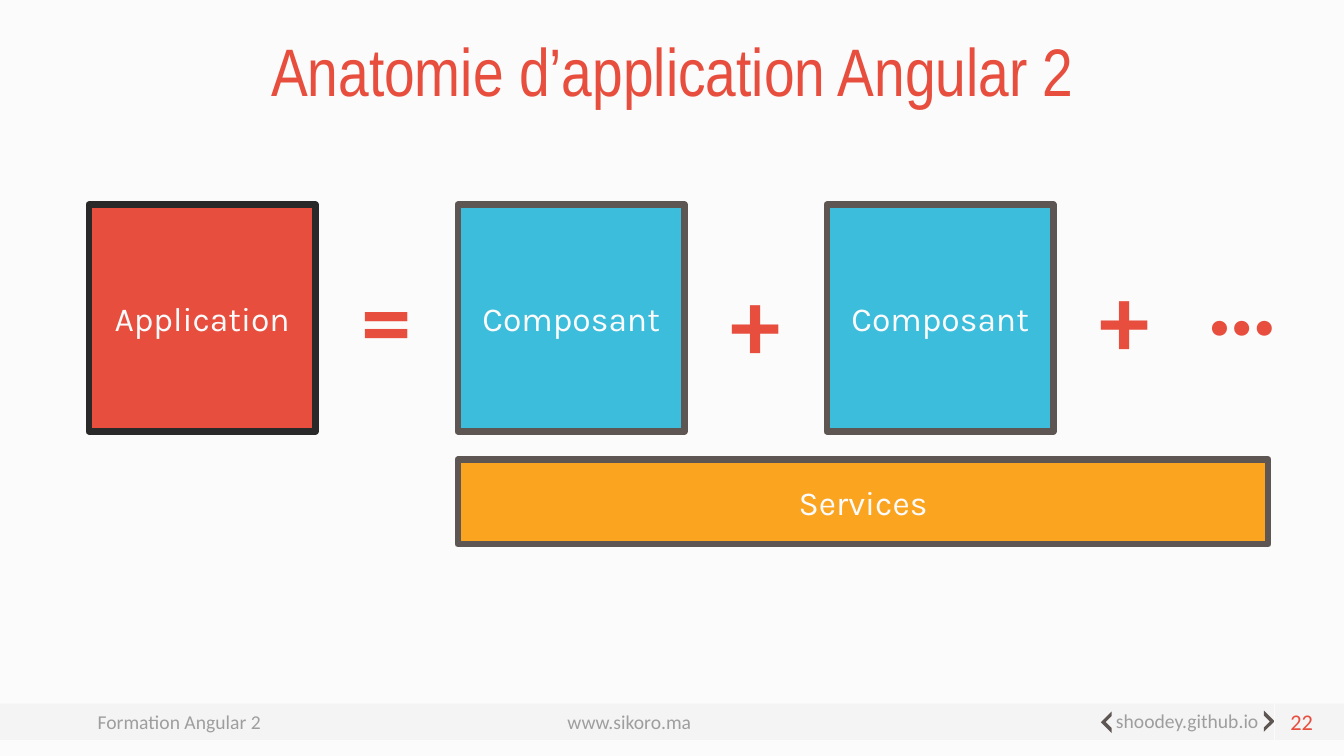
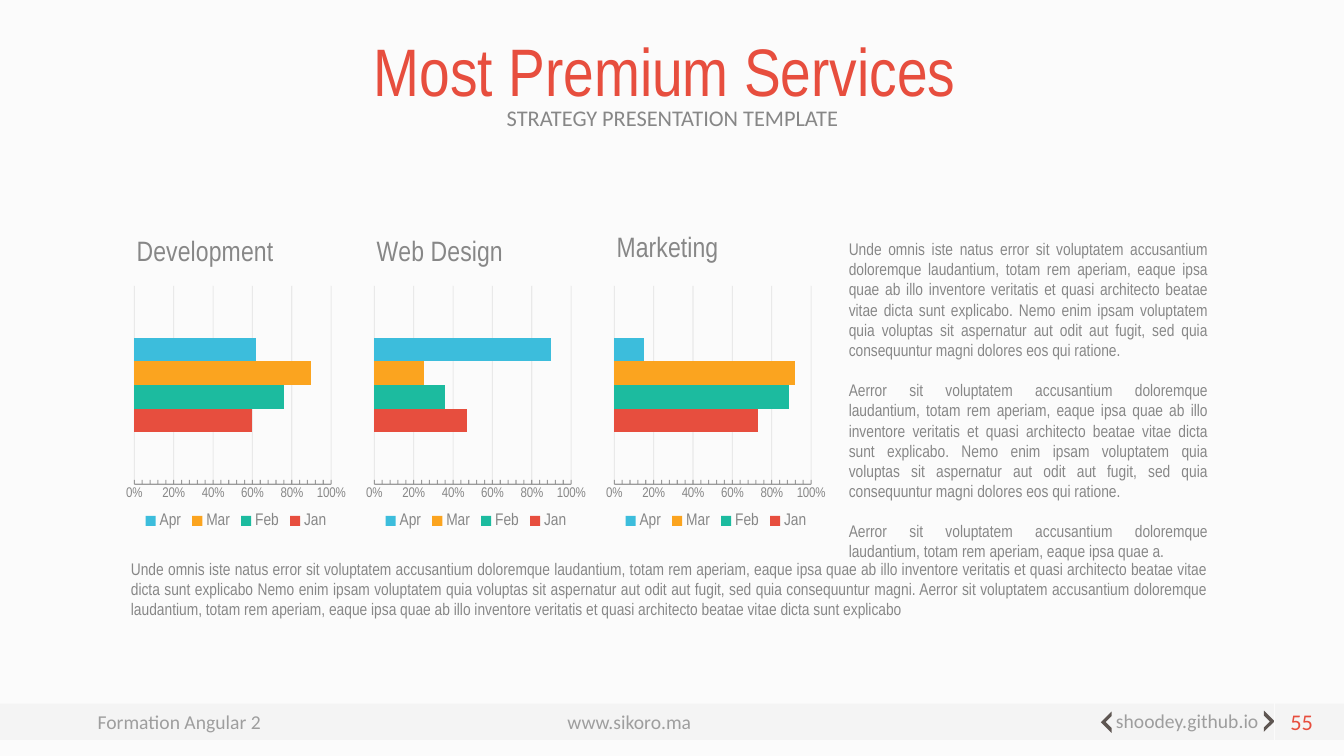
"""Build two slides on application anatomy and services, with a shared title and footer."""
import lxml.etree
import pptx
import pptx.chart.data
import pptx.dml.color
import pptx.enum.chart
import pptx.enum.shapes
import pptx.enum.text
import pptx.oxml.ns
import pptx.util

PX = 9144
qn = pptx.oxml.ns.qn
SHAPE = pptx.enum.shapes.MSO_SHAPE
ALIGN = pptx.enum.text.PP_ALIGN
ANCHOR = pptx.enum.text.MSO_ANCHOR
TICK = pptx.enum.chart.XL_TICK_MARK


def rgb(code):
    return pptx.dml.color.RGBColor.from_string(code)


class Theme:
    paper, red, blue, orange, green = map(rgb, ("FBFBFB", "E74E3E", "3CBDDC", "FBA41F", "1CBB9F"))
    grey, brown, black = map(rgb, ("878787", "5E5652", "292929"))
    narrow, plain, label = "Arial Narrow", "Calibri", "Karla"
    title, symbol, box, heading = 48, 72, 24, 20
    subtitle, footer, body, axis = 16, 14, 12, 10


def write(tf, texts, font, size, color, align=None, bold=False, wrap=True, gap=0, spacing=None):
    tf.word_wrap = wrap
    for i, text in enumerate(texts):
        p = tf.add_paragraph() if i else tf.paragraphs[0]
        p.text = text
        p.alignment = align
        p.line_spacing = spacing
        if i:
            p.space_before = pptx.util.Pt(gap)
        for r in p.runs:
            r.font.name = font
            r.font.size = pptx.util.Pt(size)
            r.font.bold = bold
            r.font.color.rgb = color


def fade(element, percent):
    for color in element.iter(qn("a:srgbClr")):
        lxml.etree.SubElement(color, qn("a:alpha")).set("val", str(percent * 1000))


prs = pptx.Presentation()
prs.slide_width, prs.slide_height = 1333 * PX, 750 * PX

slides = []
for title, number in (("Anatomie d’application Angular 2", "22"), ("Most Premium Services ", "55")):
    s = prs.slides.add_slide(prs.slide_layouts[6])
    slides.append(s)
    s.background.fill.solid()
    s.background.fill.fore_color.rgb = Theme.paper

    band = s.shapes.add_shape(SHAPE.RECTANGLE, 0, 698 * PX, 1333 * PX, 36 * PX)
    arrows = []
    for x, y, angle in ((1095, 709, 315), (1246, 708, 135)):
        sp = s.shapes.add_shape(SHAPE.HALF_FRAME, x * PX, y * PX, 15 * PX, 15 * PX)
        sp.rotation = angle
        sp.adjustments[0], sp.adjustments[1] = 0.21, 0.23
        arrows.append(sp)
    for sp in (band, *arrows):
        sp.shadow.inherit = False
        sp.fill.solid()
        sp.fill.fore_color.rgb = Theme.brown
        sp.line.fill.background()
    fade(band._element, 4)

    divider = s.shapes.add_connector(
        pptx.enum.shapes.MSO_CONNECTOR.STRAIGHT, 1264 * PX, 695 * PX, 1264 * PX, 734 * PX)
    divider.line.color.rgb = Theme.paper
    divider.line.width = pptx.util.Pt(1)
    lxml.etree.SubElement(divider._element.spPr, qn("a:effectLst"))

    for text, x, y, w in (
        ("Formation Angular 2", 87, 699, 183),
        ("www.sikoro.ma", 553, 699, 144),
        ("shoodey.github.io", 1097, 698, 164),
    ):
        sp = s.shapes.add_textbox(x * PX, y * PX, w * PX, 34 * PX)
        write(sp.text_frame, [text], Theme.plain, Theme.footer, Theme.grey, wrap=False)
        fade(sp._element, 79)

    sp = s.shapes.add_textbox(167 * PX, 16 * PX, 1000 * PX, 99 * PX)
    sp.text_frame.vertical_anchor = ANCHOR.BOTTOM
    write(sp.text_frame, [title], Theme.narrow, Theme.title, Theme.red, ALIGN.CENTER, spacing=0.9)
    sp = s.shapes.add_textbox(1258 * PX, 698 * PX, 54 * PX, 36 * PX)
    write(sp.text_frame, [number], Theme.plain, Theme.subtitle, Theme.red, ALIGN.RIGHT)

anatomy, services = slides

for text, x, y, w, h, fill, border in (
    ("Application", 88, 203, 225, 225, Theme.red, Theme.black),
    ("Composant", 454, 203, 225, 225, Theme.blue, Theme.brown),
    ("Composant", 820, 203, 225, 225, Theme.blue, Theme.brown),
    ("Services", 454, 456, 804, 84, Theme.orange, Theme.brown),
):
    sp = anatomy.shapes.add_shape(SHAPE.RECTANGLE, x * PX, y * PX, w * PX, h * PX)
    sp.shadow.inherit = False
    sp.fill.solid()
    sp.fill.fore_color.rgb = fill
    sp.line.color.rgb = border
    sp.line.width = pptx.util.Pt(4.5)
    sp.text_frame.vertical_anchor = ANCHOR.MIDDLE
    write(sp.text_frame, [text], Theme.label, Theme.box, Theme.paper, ALIGN.CENTER)

for text, x, y, w in (("=", 349, 250, 71), ("+", 715, 254, 71), ("+", 1081, 250, 71), ("…", 1187, 228, 92)):
    sp = anatomy.shapes.add_textbox(x * PX, y * PX, w * PX, 131 * PX)
    write(sp.text_frame, [text], Theme.plain, Theme.symbol, Theme.red, bold=True, wrap=False)

sp = services.shapes.add_textbox(167 * PX, 101 * PX, 1000 * PX, 49 * PX)
write(sp.text_frame, ["STRATEGY PRESENTATION TEMPLATE"], Theme.plain, Theme.subtitle, Theme.grey,
      ALIGN.CENTER, spacing=0.9)

months = (("Jan", Theme.red), ("Feb", Theme.green), ("Mar", Theme.orange), ("Apr", Theme.blue))
for i, (name, values, title_y) in enumerate((
    ("Development", (0.6, 0.76, 0.9, 0.62), 0.14),
    ("Web Design", (0.47, 0.36, 0.25, 0.9), 0.14),
    ("Marketing", (0.73, 0.89, 0.92, 0.15), 0.13),
)):
    data = pptx.chart.data.CategoryChartData(number_format="0%")
    data.categories = ["1"]
    for (month, color), value in zip(months, values):
        data.add_series(month, [value])
    chart = services.shapes.add_chart(
        pptx.enum.chart.XL_CHART_TYPE.BAR_CLUSTERED,
        (71 + 238 * i) * PX, 173 * PX, 283 * PX, 410 * PX, data).chart
    chart.font.name = Theme.plain
    chart.font.size = pptx.util.Pt(Theme.axis)
    chart.font.color.rgb = Theme.red

    chart.has_title = True
    write(chart.chart_title.text_frame, [name], Theme.narrow, Theme.heading, Theme.grey)
    chart.has_legend = True
    legend = chart.legend
    legend.position = pptx.enum.chart.XL_LEGEND_POSITION.TOP
    legend.include_in_layout = False

    plot = chart.plots[0]
    plot.gap_width = 439
    plot.overlap = 0
    plot.vary_by_categories = False
    for series, (month, color) in zip(plot.series, months):
        series.format.fill.solid()
        series.format.fill.fore_color.rgb = color

    chart.category_axis.visible = False
    axis = chart.value_axis
    axis.minimum_scale, axis.maximum_scale = 0, 1
    axis.major_unit, axis.minor_unit = 0.2, 0.04
    axis.major_tick_mark, axis.minor_tick_mark = TICK.NONE, TICK.INSIDE
    axis.tick_labels.number_format = "0%"
    axis.tick_labels.number_format_is_linked = False
    for font, size in ((axis.tick_labels.font, Theme.axis), (legend.font, Theme.body)):
        font.name = Theme.narrow
        font.size = pptx.util.Pt(size)
        font.color.rgb = Theme.grey
    for line in (axis.format.line, axis.major_gridlines.format.line):
        line.color.rgb = Theme.grey
        line.width = pptx.util.Pt(0.75)
    fade(axis._element.find(qn("c:spPr")), 82)
    fade(axis._element.find(qn("c:majorGridlines")), 14)

    plot_area = chart._chartSpace.chart.plotArea
    for element, index, places in (
        (chart.chart_title._element, 1, {"x": 0.21, "y": title_y}),
        (legend._element, 1, {"x": 0.24, "y": 0.81}),
        (plot_area, 0, {"x": 0.22, "y": 0.27, "w": 0.69, "h": 0.48}),
    ):
        for old in element.findall(qn("c:layout")):
            element.remove(old)
        layout = lxml.etree.Element(qn("c:layout"))
        element.insert(index, layout)
        manual = lxml.etree.SubElement(layout, qn("c:manualLayout"))
        settings = {"xMode": "edge", "yMode": "edge", **places}
        if element is plot_area:
            settings = {"layoutTarget": "inner", **settings}
        for key, value in settings.items():
            lxml.etree.SubElement(manual, qn("c:" + key)).set("val", str(value))

opening = (
    "accusantium doloremque laudantium, totam rem aperiam, eaque ipsa quae ab illo inventore veritatis "
    "et quasi architecto beatae vitae dicta sunt explicabo")
closing = "Nemo enim ipsam voluptatem quia voluptas sit aspernatur aut odit aut fugit, sed quia consequuntur magni"
unde, aerror = (f"{start} sit voluptatem {opening}" for start in ("Unde omnis iste natus error", "Aerror"))
for x, y, w, h, texts in (
    (120, 549, 1088, 71, [f"{unde} {closing}. {aerror}"]),
    (832, 232, 376, 313, [
        f"{unde}. {closing} dolores eos qui ratione.",
        f"{aerror}. {closing} dolores eos qui ratione.",
        "Aerror sit voluptatem accusantium doloremque laudantium, totam rem aperiam, eaque ipsa quae a.",
    ]),
):
    sp = services.shapes.add_textbox(x * PX, y * PX, w * PX, h * PX)
    write(sp.text_frame, texts, Theme.narrow, Theme.body, Theme.grey, ALIGN.JUSTIFY, gap=14.4)

prs.save("out.pptx")
